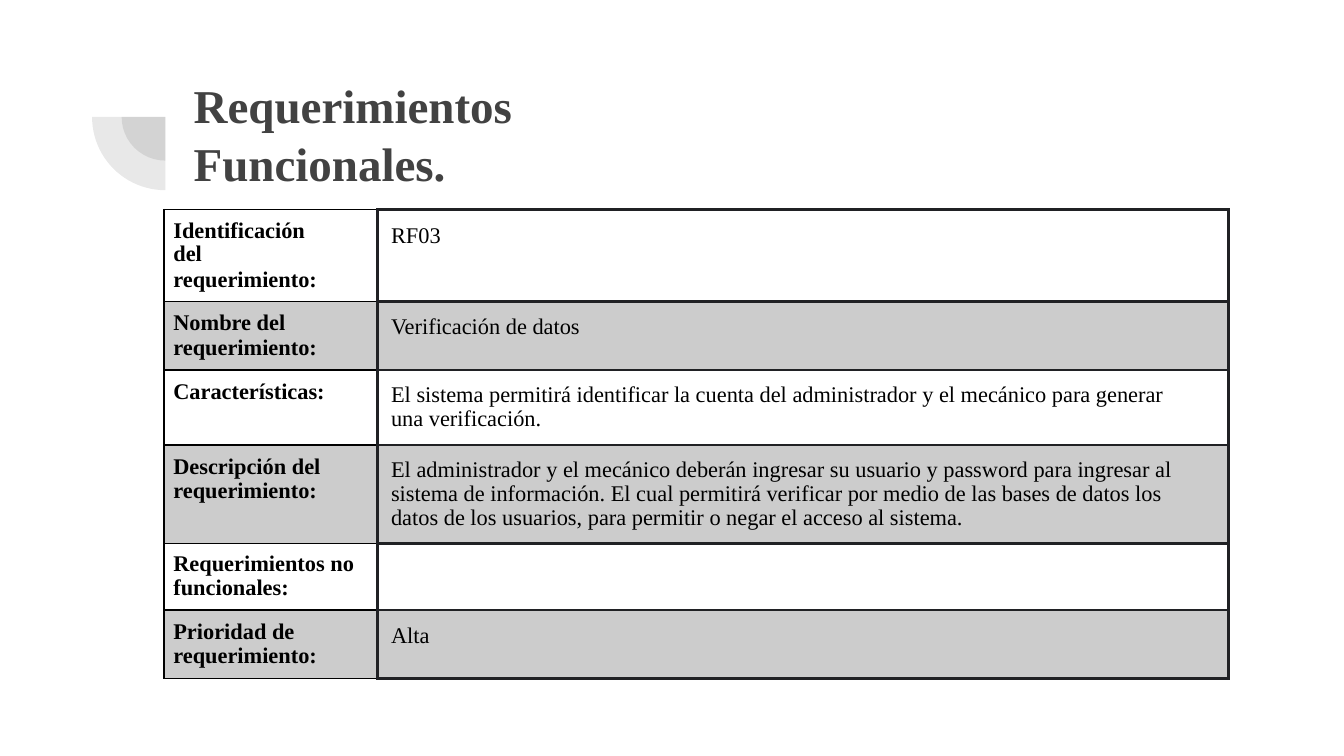
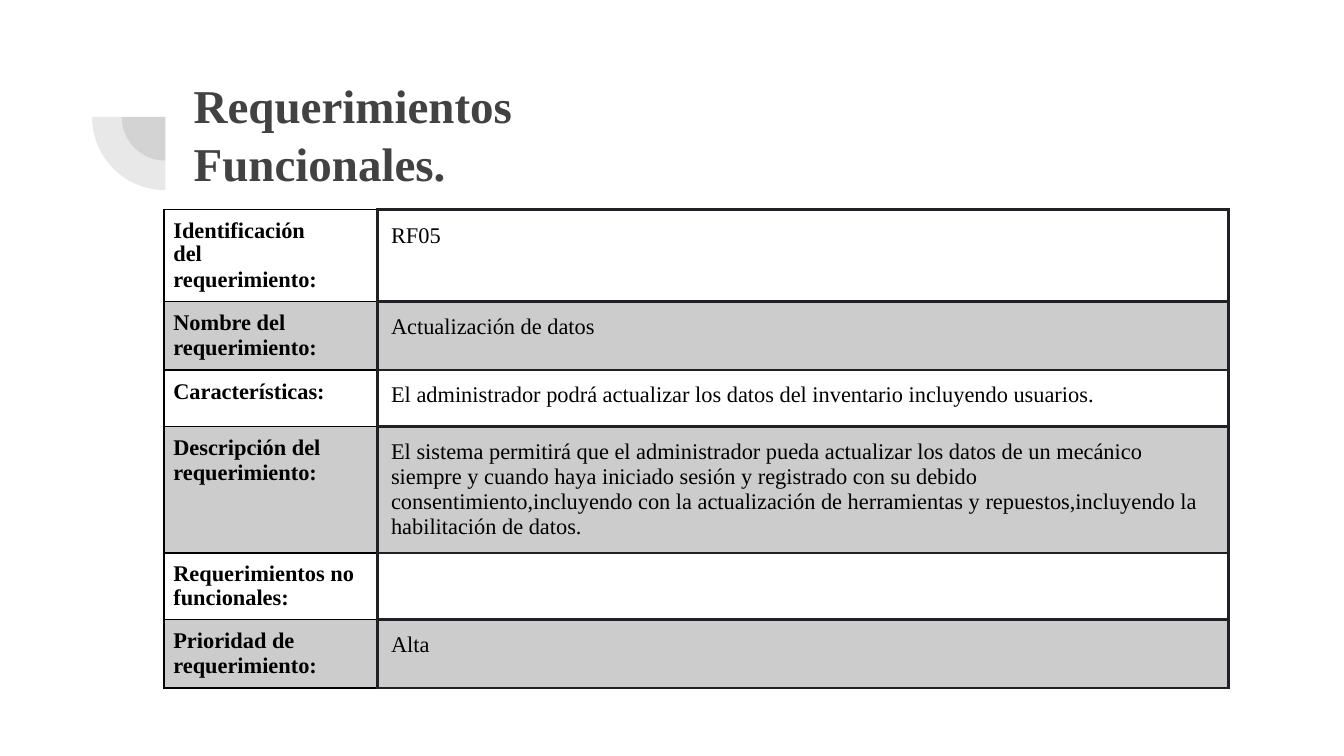
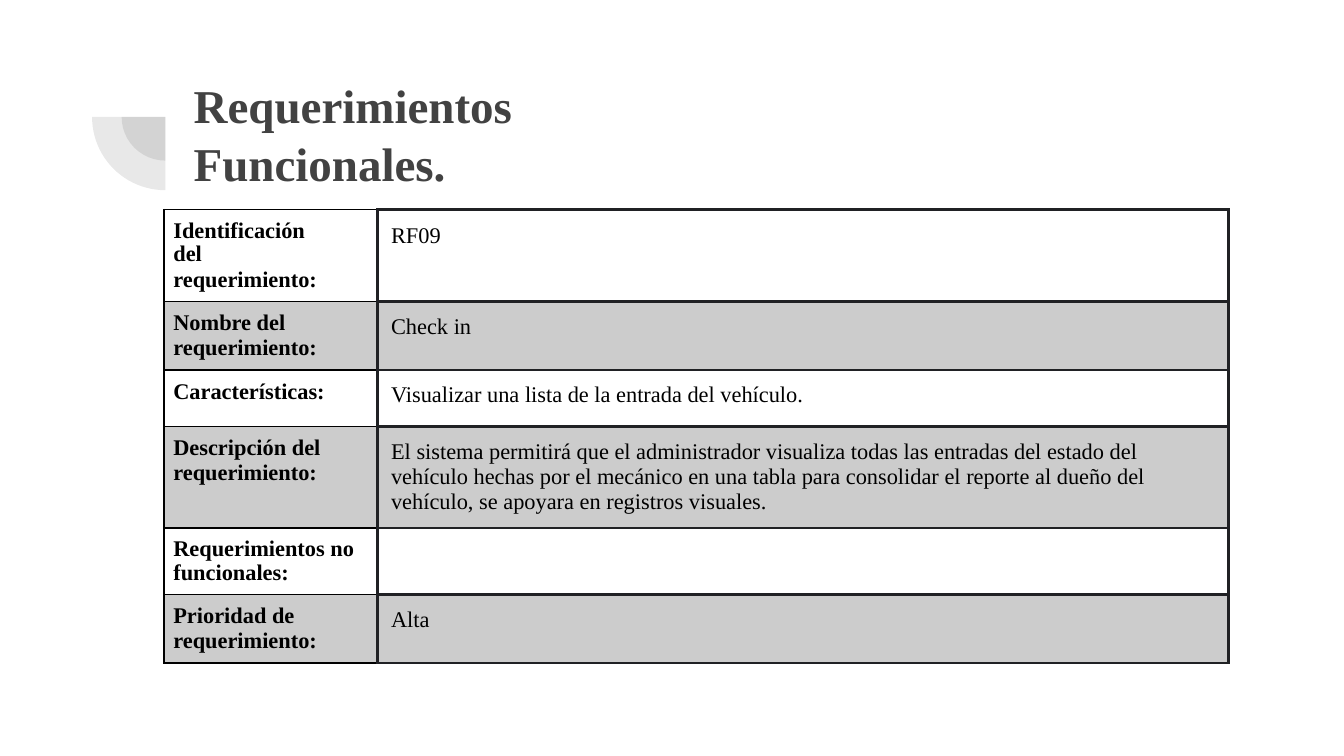
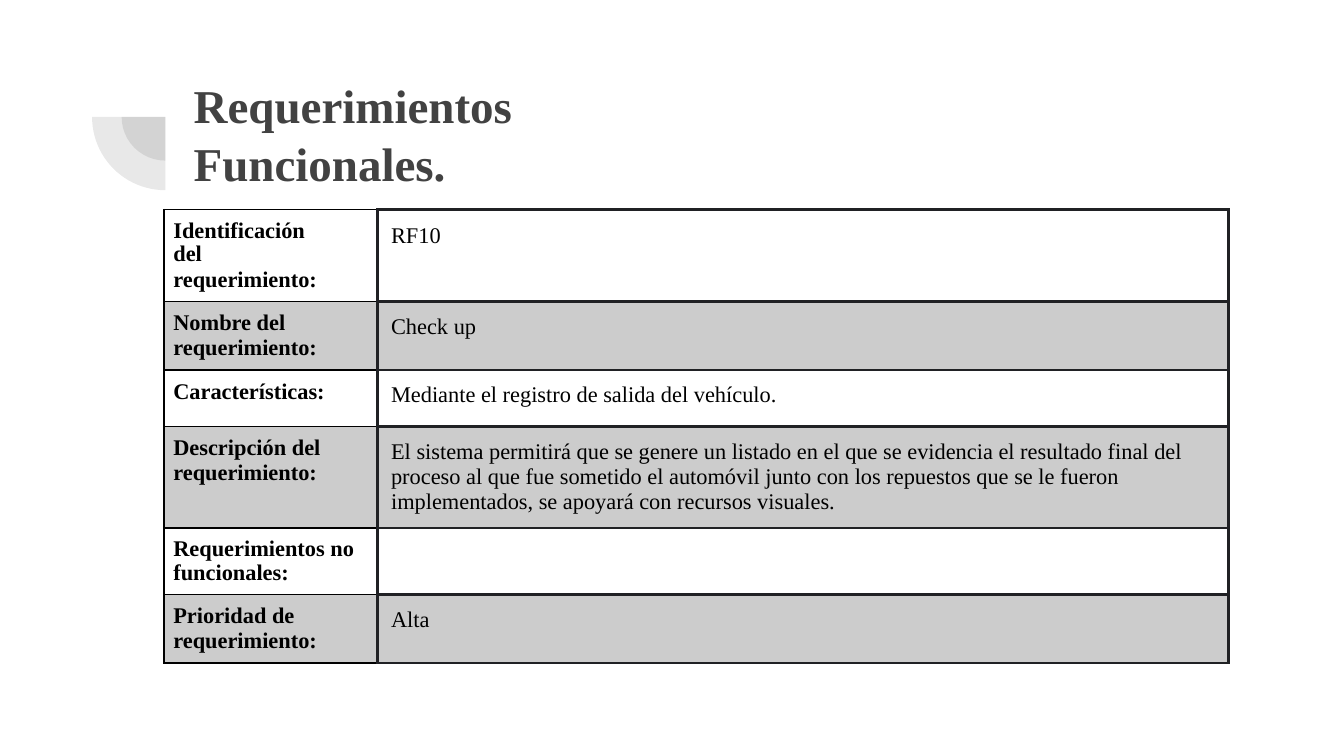
"""Build the functional requirement sheets, one table per slide."""
from dataclasses import dataclass
from typing import Optional

from lxml.etree import SubElement
from pptx import Presentation
from pptx.dml.color import RGBColor
from pptx.enum.shapes import MSO_SHAPE as Preset
from pptx.enum.text import MSO_ANCHOR as Anchor, MSO_AUTO_SIZE as AutoSize, PP_ALIGN as Align
from pptx.oxml.ns import qn
from pptx.util import Inches, Pt


@dataclass(frozen=True)
class Theme:
    font: str = "Times New Roman"
    heading: str = "424242"
    ink: str = "000000"
    rule: str = "202124"
    band: str = "CCCCCC"
    title_size: float = 25.2
    body_size: float = 12
    thin: float = 1
    thick: float = 1.5
    accent_opacity: int = 12


@dataclass(frozen=True)
class Label:
    lines: tuple[str, ...]
    spacing: Optional[float] = None
    gap: float = 0
    right_indent: float = 0


@dataclass(frozen=True)
class Requirement:
    code: str
    name: str
    features: str
    description: str
    tight_description: bool = False
    description_height: float = 0.42
    priority: str = "Alta"


THEME = Theme()
ROW_HEIGHT = 0.42
COLUMN_WIDTHS = (1.59, 6.33)
LABEL_INSET, VALUE_INSET = 0.07, 0.1
TIGHT = 0.96
TIGHT_INDENT, VALUE_INDENT = 0.2, 0.06
ACCENT_CENTER = (1.23, 0.87)
ACCENT_DIAMETERS = (0.65, 1.09)
TITLE = ("Requerimientos", "Funcionales.")

LABELS = (
    Label(("Identificación del", "requerimiento:"), TIGHT, 0.3, 0.3),
    Label(("Nombre del", "requerimiento:")),
    Label(("Características:",)),
    Label(("Descripción del requerimiento:",)),
    Label(("Requerimientos no funcionales:",), TIGHT),
    Label(("Prioridad de", "requerimiento:")),
)

REQUIREMENTS = (
    Requirement(
        "RF03",
        "Verificación de datos",
        "El sistema permitirá identificar la cuenta del administrador y el mecánico "
        "para generar una verificación.",
        "El administrador y el mecánico deberán ingresar su usuario y password para "
        "ingresar al sistema de información. El cual permitirá verificar por medio de "
        "las bases de datos los datos de los usuarios, para permitir o negar el acceso "
        "al sistema.",
        tight_description=True,
        description_height=0.61,
    ),
    Requirement(
        "RF05",
        "Actualización de datos",
        "El administrador podrá actualizar los datos del inventario incluyendo usuarios.",
        "El sistema permitirá que el administrador pueda actualizar los datos de un "
        "mecánico siempre y cuando haya iniciado sesión y registrado con su debido "
        "consentimiento,incluyendo con la actualización de herramientas y "
        "repuestos,incluyendo la habilitación de datos.",
    ),
    Requirement(
        "RF09",
        "Check in",
        "Visualizar una lista de la entrada del vehículo.",
        "El sistema permitirá que el administrador visualiza todas las entradas del "
        "estado del vehículo hechas por el mecánico en una tabla para consolidar el "
        "reporte al dueño del vehículo, se apoyara en registros visuales.",
    ),
    Requirement(
        "RF10",
        "Check up",
        "Mediante el registro de salida del vehículo.",
        "El sistema permitirá que se genere un listado en el que se evidencia el "
        "resultado final del proceso al que fue sometido el automóvil junto con los "
        "repuestos que se le fueron implementados, se apoyará con recursos visuales.",
    ),
)


def write(frame, lines, *, size=THEME.body_size, color=THEME.ink, bold=False,
          spacing=None, gap=0, right_indent=0) -> None:
    """Write one formatted paragraph per line."""
    for index, line in enumerate(lines):
        paragraph = frame.add_paragraph() if index else frame.paragraphs[0]
        paragraph.alignment = Align.LEFT
        if index:
            paragraph.space_before = Pt(gap)
        elif spacing:
            paragraph.line_spacing = spacing
        if right_indent:
            paragraph._p.get_or_add_pPr().set("marR", str(Inches(right_indent)))
        run = paragraph.add_run()
        run.text = line
        run.font.name = THEME.font
        run.font.size = Pt(size)
        run.font.bold = bold
        run.font.color.rgb = RGBColor.from_string(color)


def set_insets(box, inset: float) -> None:
    """Give a cell or text frame equal margins."""
    box.margin_left = box.margin_right = Inches(inset)
    box.margin_top = box.margin_bottom = Inches(inset)


def set_borders(cell, **sides: tuple[str, float]) -> None:
    """Draw the borders of a cell, each given as colour and width."""
    properties = cell._tc.get_or_add_tcPr()
    for position, side in enumerate("LRTB"):
        color, width = sides[side]
        line = properties.makeelement(qn(f"a:ln{side}"), {"w": str(Pt(width))})
        fill = SubElement(line, qn("a:solidFill"))
        SubElement(fill, qn("a:srgbClr"), val=color)
        properties.insert(position, line)


def style_cell(cell, inset: float, banded: bool, **sides: tuple[str, float]) -> None:
    """Set the margins, fill and borders of a cell."""
    set_insets(cell, inset)
    if banded:
        cell.fill.solid()
        cell.fill.fore_color.rgb = RGBColor.from_string(THEME.band)
    else:
        cell.fill.background()
    set_borders(cell, **sides)


def add_accents(slide, layout) -> None:
    """Place the shared quarter circles on the layout."""
    center_x, center_y = ACCENT_CENTER
    for diameter in ACCENT_DIAMETERS:
        quarter = slide.shapes.add_shape(
            Preset.PIE, Inches(center_x - diameter / 2), Inches(center_y - diameter / 2),
            Inches(diameter), Inches(diameter))
        quarter.adjustments[0], quarter.adjustments[1] = 107.93, 162
        quarter.rotation = 270
        quarter.shadow.inherit = False
        quarter.line.fill.background()
        quarter.fill.solid()
        quarter.fill.fore_color.rgb = RGBColor.from_string(THEME.heading)
        color = quarter.element.spPr.find(f"{qn('a:solidFill')}/{qn('a:srgbClr')}")
        SubElement(color, qn("a:alpha"), val=str(THEME.accent_opacity * 1000))
        layout.element.cSld.spTree.append(quarter.element)


def add_title(slide) -> None:
    """Fill and place the title placeholder."""
    title = slide.shapes.title
    title.left, title.top = Inches(1.34), Inches(0.47)
    title.width, title.height = Inches(7.69), Inches(1.09)
    frame = title.text_frame
    frame.auto_size = AutoSize.NONE
    frame.word_wrap = True
    frame.vertical_anchor = Anchor.TOP
    set_insets(frame, VALUE_INSET)
    write(frame, TITLE, size=THEME.title_size, color=THEME.heading, bold=True, gap=0.5)


def add_requirement(slide, requirement: Requirement) -> None:
    """Draw the table of one requirement."""
    values = (requirement.code, requirement.name, requirement.features,
              requirement.description, "", requirement.priority)
    tight_values = {requirement.features}
    if requirement.tight_description:
        tight_values.add(requirement.description)
    heights = [ROW_HEIGHT] * len(LABELS)
    heights[values.index(requirement.description)] = requirement.description_height

    table = slide.shapes.add_table(
        len(LABELS), len(COLUMN_WIDTHS), Inches(1.22), Inches(1.56),
        Inches(sum(COLUMN_WIDTHS)), Inches(sum(heights))).table
    table.first_row = table.horz_banding = False
    for column, width in zip(table.columns, COLUMN_WIDTHS):
        column.width = Inches(width)

    thin, thick = (THEME.ink, THEME.thin), (THEME.rule, THEME.thick)
    for index, (label, value, height) in enumerate(zip(LABELS, values, heights)):
        table.rows[index].height = Inches(height)
        banded = index % 2 == 1
        label_cell, value_cell = table.cell(index, 0), table.cell(index, 1)
        style_cell(label_cell, LABEL_INSET, banded, L=thin, R=thick, T=thin, B=thin)
        style_cell(value_cell, VALUE_INSET, banded, L=thick, R=thick, T=thick, B=thick)
        write(label_cell.text_frame, label.lines, bold=True, spacing=label.spacing,
              gap=label.gap, right_indent=label.right_indent)
        tight = value in tight_values
        write(value_cell.text_frame, (value,), spacing=TIGHT if tight else None,
              right_indent=TIGHT_INDENT if tight else VALUE_INDENT)


def main() -> None:
    """Build and save the deck."""
    deck = Presentation()
    deck.slide_width = Inches(10)
    deck.slide_height = deck.slide_width * 9 // 16
    layout = deck.slide_layouts[5]
    for placeholder in list(layout.placeholders)[1:]:
        layout.element.cSld.spTree.remove(placeholder.element)
    for index, requirement in enumerate(REQUIREMENTS):
        slide = deck.slides.add_slide(layout)
        if index == 0:
            add_accents(slide, layout)
        add_title(slide)
        add_requirement(slide, requirement)
    deck.save("out.pptx")


if __name__ == "__main__":
    main()
